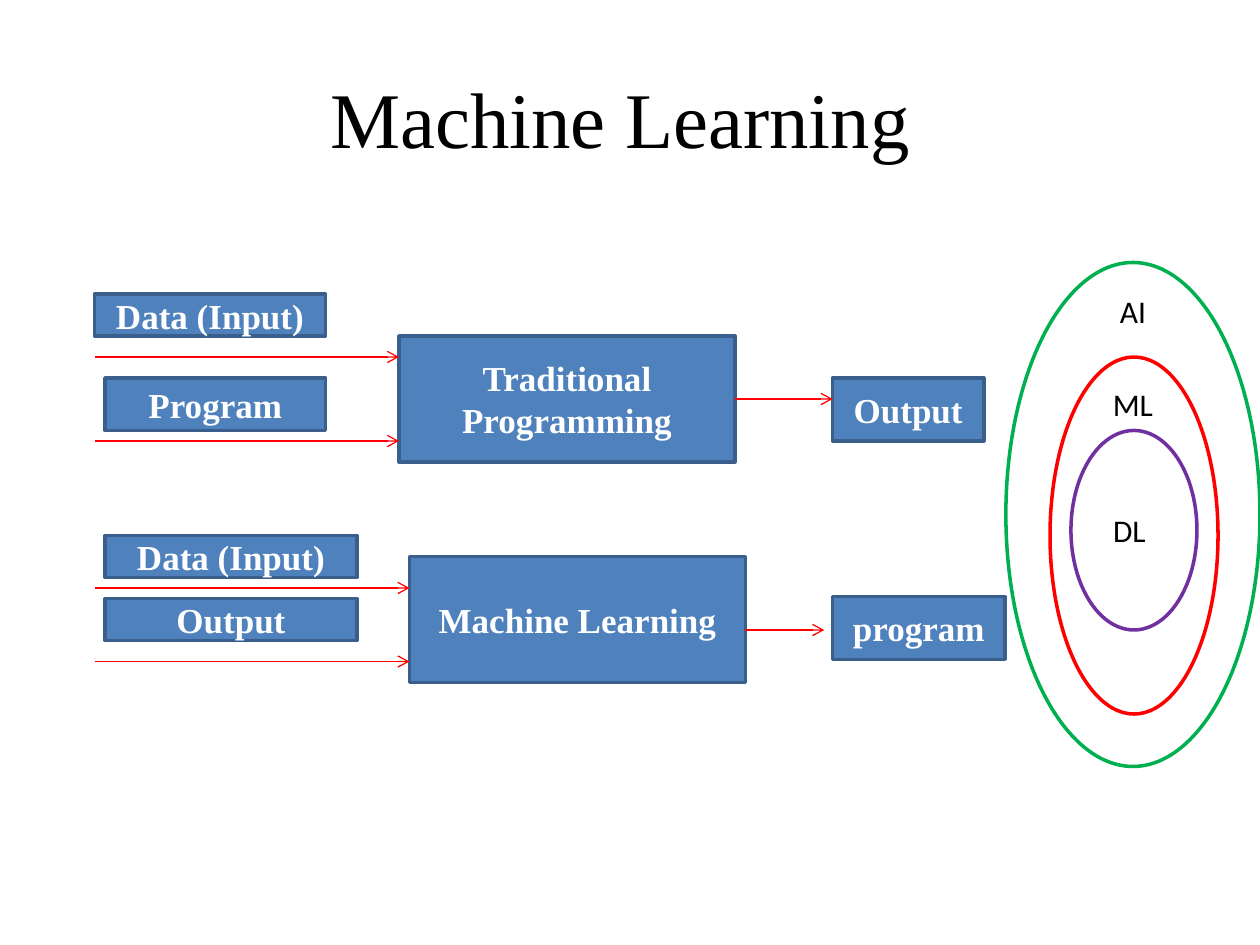
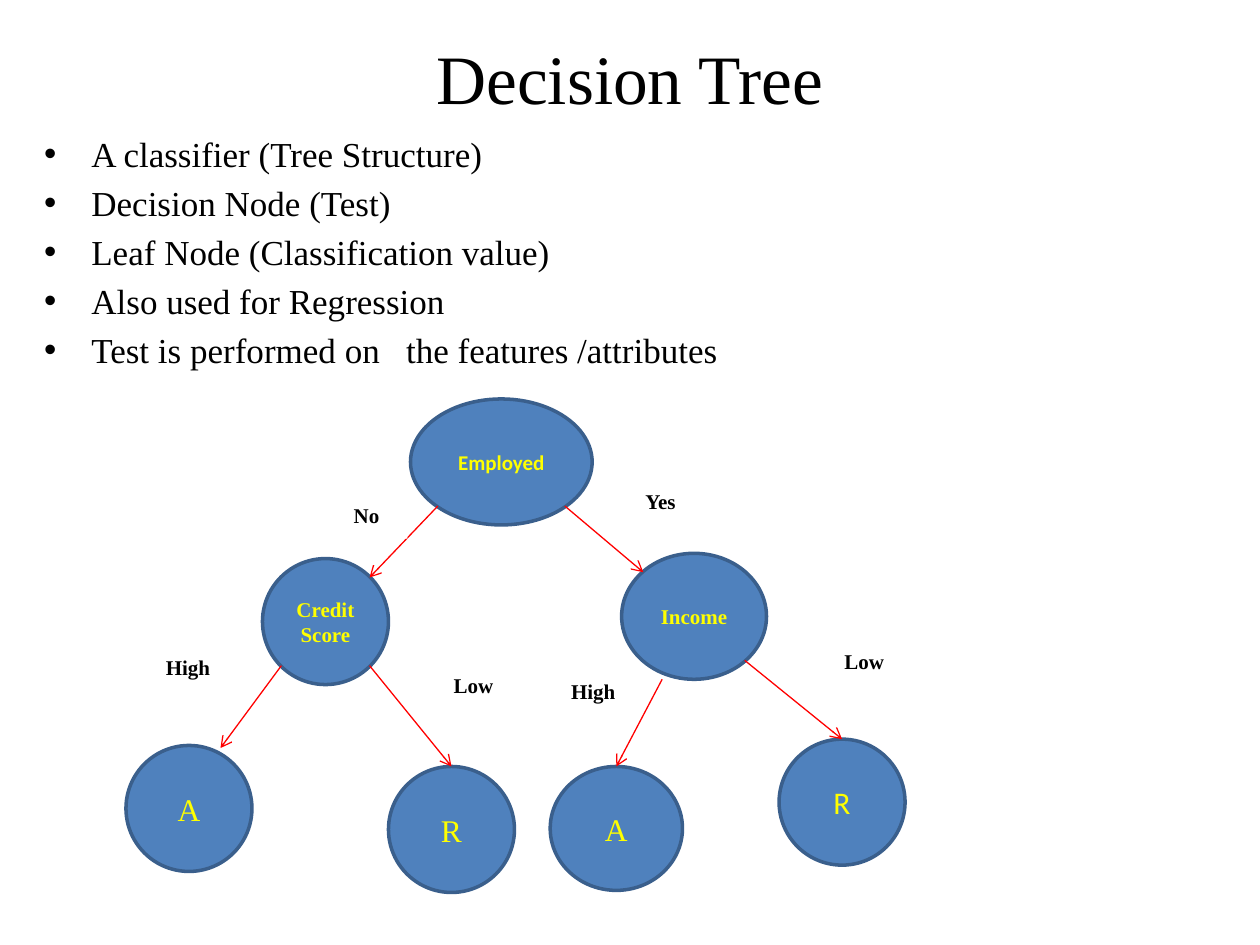
from dataclasses import dataclass

from lxml import etree
from pptx import Presentation
from pptx import util as u
from pptx.dml.color import RGBColor
from pptx.enum import shapes, text
from pptx.oxml.ns import qn

CELL = u.Inches(1) / 12  # the slide is a grid of 120 columns and 90 rows
LOW, HIGH = 0.15, 0.85   # shares of an ellipse's box where its diagonals meet the rim


@dataclass(frozen=True)
class Theme:
    serif: str = "Times New Roman"
    sans: str = "Calibri"
    fill: str = "4F81BD"
    edge: str = "3A5F8C"
    arrow: str = "FF0000"
    black: str = "000000"
    white: str = "FFFFFF"
    yellow: str = "FFFF00"
    rings: tuple = ("00B050", "FF0000", "7030A0")
    title_size: float = 45
    small_title_size: float = 39.6
    body_size: float = 20
    letter_size: float = 18
    label_size: float = 12
    edge_width: float = 2
    arrow_width: float = 0.75


THEME = Theme()


def cells(*values):
    return [round(value * CELL) for value in values]


def style(para, size, color, font=THEME.serif, bold=False):
    para.font.name = font
    para.font.size = u.Pt(size)
    para.font.bold = bold
    para.font.color.rgb = RGBColor.from_string(color)


def write(shape, words, size, color, font=THEME.serif, bold=False):
    """Put centred text in the middle of a shape."""
    frame = shape.text_frame
    frame.word_wrap = True
    frame.vertical_anchor = text.MSO_ANCHOR.MIDDLE
    para = frame.paragraphs[0]
    para.text = words
    para.alignment = text.PP_ALIGN.CENTER
    style(para, size, color, font, bold)


def place(shape, *area):
    shape.left, shape.top, shape.width, shape.height = cells(*area)


def add_page(deck, layout, words, size, rows):
    page = deck.slides.add_slide(deck.slide_layouts[layout])
    title = page.shapes.title
    place(title, 6, 3.6, 108, rows)
    title.text_frame.auto_size = text.MSO_AUTO_SIZE.NONE
    write(title, words, size, THEME.black)
    return page


def add_preset(page, kind, area, fill=None, edge=None):
    shape = page.shapes.add_shape(kind, *cells(*area))
    shape.shadow.inherit = False
    if fill:
        shape.fill.solid()
        shape.fill.fore_color.rgb = RGBColor.from_string(fill)
    else:
        shape.fill.background()
    if edge:
        shape.line.color.rgb = RGBColor.from_string(edge)
        shape.line.width = u.Pt(THEME.edge_width)
    else:
        shape.line.fill.background()
    return shape


def add_box(page, words, *area):
    box = add_preset(page, shapes.MSO_SHAPE.RECTANGLE, area, THEME.fill, THEME.edge)
    write(box, words, THEME.body_size, THEME.white, bold=True)
    return box


def add_node(page, words, *area, font=THEME.serif):
    node = add_preset(page, shapes.MSO_SHAPE.OVAL, area, THEME.fill, THEME.edge)
    is_leaf = len(words) == 1
    size = THEME.letter_size if is_leaf else THEME.label_size
    write(node, words, size, THEME.yellow, font, bold=not is_leaf)
    return node


def add_branch_label(page, words, column, row):
    label = add_preset(page, shapes.MSO_SHAPE.RECTANGLE, (column, row, 7.8, 4.5), THEME.white)
    write(label, words, THEME.label_size, THEME.black, bold=True)


def add_ring_label(page, words, column, row):
    label = page.shapes.add_textbox(*cells(column, row, 7, 4))
    write(label, words, THEME.letter_size, THEME.black, THEME.sans)


def add_arrow(page, start, end):
    """Draw an arrow between two points given in slide units."""
    arrow = page.shapes.add_connector(shapes.MSO_CONNECTOR.STRAIGHT, *start, *end)
    arrow.line.color.rgb = RGBColor.from_string(THEME.arrow)
    arrow.line.width = u.Pt(THEME.arrow_width)
    etree.SubElement(arrow.line._get_or_add_ln(), qn("a:tailEnd"), type="arrow")
    etree.SubElement(arrow._element.spPr, qn("a:effectLst"))
    return arrow


def point_on(node, across, down):
    return (round(node.left + across * node.width),
            round(node.top + down * node.height))


def build_comparison(deck):
    page = add_page(deck, 5, "Machine Learning ", THEME.title_size, 15)

    # Processes, inputs and results
    traditional = add_box(page, "Traditional Programming", 38, 32, 32, 12)
    add_box(page, "Machine Learning", 39, 53, 32, 12)
    for words, *area in (
        ("Data (Input)", 9, 28, 22, 4),
        ("Program", 10, 36, 21, 5),
        ("Data (Input)", 10, 51, 24, 4),
        ("Output", 10, 57, 24, 4),
        ("Output", 79.3, 36, 14.4, 6),
        ("program", 79.3, 56.8, 16.4, 6),
    ):
        add_box(page, words, *area)

    # Level arrows: from column, to column, row
    for start, end, row in ((9, 38, 34), (9, 38, 42), (9, 39, 56), (9, 39, 63), (71, 78.5, 60)):
        add_arrow(page, cells(start, row), cells(end, row))
    result = add_arrow(page, cells(70, 38), cells(79.3, 38))
    result.begin_connect(traditional, 3)

    # Nested fields
    areas = ((95.8, 25, 24.2, 48), (100, 34, 16, 34), (102, 41, 12, 19))
    for area, color in zip(areas, THEME.rings):
        add_preset(page, shapes.MSO_SHAPE.OVAL, area, edge=color)
    for words, row in (("AI", 27.6), ("ML", 36.5), ("DL ", 48.5)):
        add_ring_label(page, words, 104.4, row)


def build_tree(deck):
    page = add_page(deck, 1, "Decision Tree", THEME.small_title_size, 7.4)

    # Bullets
    body = page.placeholders[1]
    place(body, 3, 12, 111, 76)
    body.text_frame.auto_size = text.MSO_AUTO_SIZE.NONE
    body.text_frame.text = "\n".join((
        "A classifier (Tree Structure)",
        "Decision Node (Test)",
        "Leaf Node (Classification value)",
        "Also used for Regression",
        "Test is performed on   the features /attributes",
    ))
    for para in body.text_frame.paragraphs:
        style(para, THEME.body_size, THEME.black)

    # Nodes
    employed = add_node(page, "Employed", 39.1, 38, 17.3, 12, font=THEME.sans)
    credit = add_node(page, "Credit Score", 25, 53.2, 12, 12)
    income = add_node(page, "Income", 59.2, 52.7, 13.8, 12)
    credit_high = add_node(page, "A", 12, 71, 12, 12)
    credit_low = add_node(page, "R", 37, 73, 12, 12)
    income_high = add_node(page, "A", 52.4, 73, 12.6, 11.8)
    income_low = add_node(page, "R", 74.2, 70.4, 12, 12, font=THEME.sans)

    # Branches
    top = (0.5, 0)
    for parent, leave, child, arrive in (
        (employed, (LOW, HIGH), credit, (HIGH, LOW)),
        (employed, (HIGH, HIGH), income, (LOW, LOW)),
        (credit, (LOW, HIGH), credit_high, (0.75, 0.02)),
        (credit, (HIGH, HIGH), credit_low, top),
        (income, (0.28, 1), income_high, top),
        (income, (HIGH, HIGH), income_low, top),
    ):
        add_arrow(page, point_on(parent, *leave), point_on(child, *arrive))
    for words, column, row in (
        ("Yes", 59, 45.5), ("No", 31, 46.8), ("Low", 78.4, 60.7),
        ("High", 52.6, 63.6), ("Low", 41.2, 63), ("High", 14, 61.3),
    ):
        add_branch_label(page, words, column, row)


def main():
    deck = Presentation()
    deck.slide_width, deck.slide_height = cells(120, 90)
    build_comparison(deck)
    build_tree(deck)
    deck.save("out.pptx")


if __name__ == "__main__":
    main()
